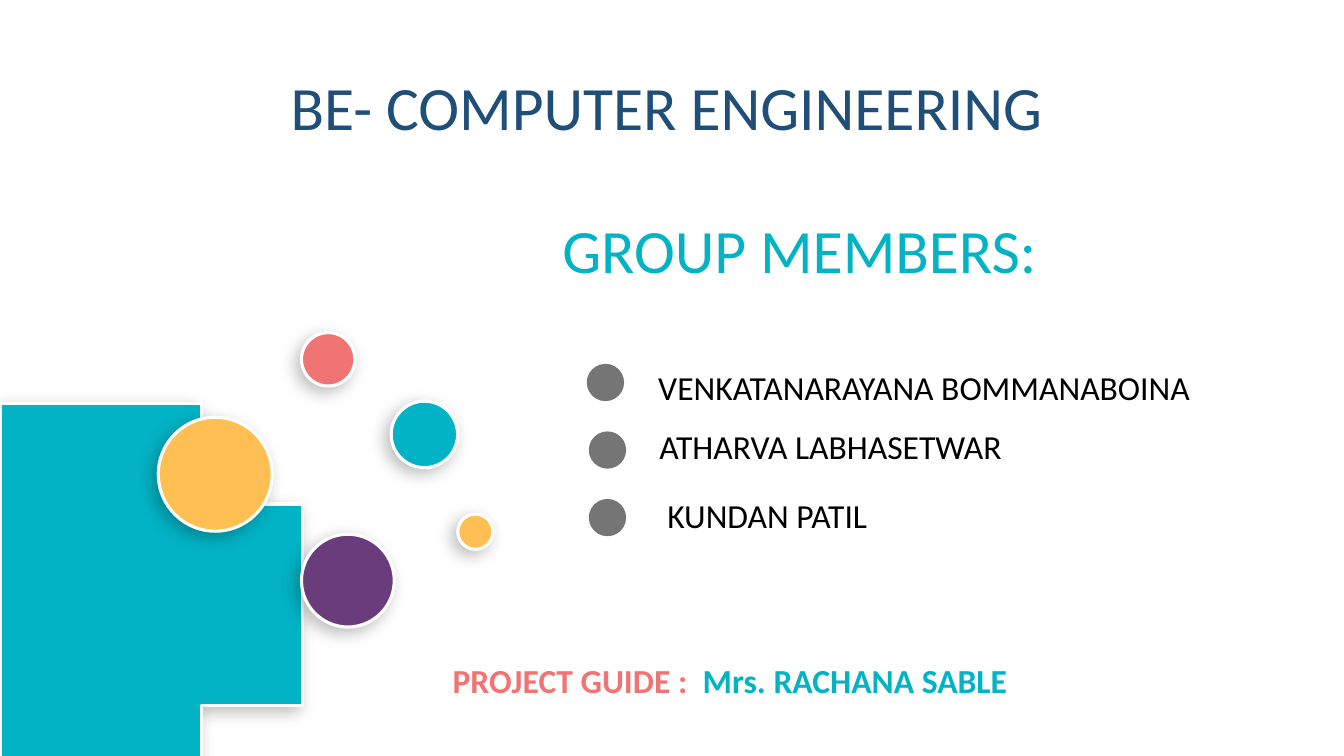
import math
from lxml import etree
from pptx import Presentation
from pptx import util as u
from pptx.dml.color import RGBColor
from pptx.enum import shapes, text
from pptx.oxml import ns

TEAL = RGBColor(0x02, 0xB3, 0xC5)
PURPLE = RGBColor(0x6A, 0x3C, 0x7C)
AMBER = RGBColor(0xFF, 0xBF, 0x53)
CORAL = RGBColor(0xF0, 0x74, 0x74)
NAVY = RGBColor(0x1F, 0x4E, 0x79)
GRAY = RGBColor(0x40, 0x40, 0x40)
BLACK = RGBColor(0, 0, 0)
WHITE = RGBColor(0xFF, 0xFF, 0xFF)
FONT = "Calibri"
SLIDE_WIDTH, SLIDE_HEIGHT = 13.33, 7.5


def add_child(parent, tag, **attributes):
    child = etree.SubElement(parent, ns.qn(tag))
    for name, value in attributes.items():
        child.set(name, str(value))
    return child


def style_bubble(shape, color):
    shape.fill.solid()
    shape.fill.fore_color.rgb = color
    shape.line.color.rgb = WHITE
    shape.line.width = u.Pt(2.25)
    shape.shadow.inherit = False
    effects = shape._element.spPr.find(ns.qn("a:effectLst"))
    shadow = add_child(effects, "a:outerShdw", blurRad=u.Pt(12), dist=u.Pt(5),
                       dir=135 * 60000, algn="tr", rotWithShape=0)
    shadow_color = add_child(shadow, "a:srgbClr", val="000000")
    add_child(shadow_color, "a:alpha", val=26000)


def add_circle(slide, left, top, size):
    return slide.shapes.add_shape(
        shapes.MSO_SHAPE.OVAL, u.Inches(left), u.Inches(top),
        u.Inches(size), u.Inches(size))


def fill_text(shape, runs, size, bold=False, align=text.PP_ALIGN.LEFT):
    frame = shape.text_frame
    frame.word_wrap = True
    frame.auto_size = text.MSO_AUTO_SIZE.NONE
    frame.vertical_anchor = text.MSO_ANCHOR.TOP
    paragraph = frame.paragraphs[0]
    paragraph.alignment = align
    for words, color in runs:
        run = paragraph.add_run()
        run.text = words
        run.font.name = FONT
        run.font.size = u.Pt(size)
        run.font.bold = bold
        run.font.color.rgb = color


def add_text(slide, box, runs, size, bold=False):
    shape = slide.shapes.add_textbox(*map(u.Inches, box))
    fill_text(shape, runs, size, bold)


def add_title(slide, box):
    title = slide.shapes.title
    title.left, title.top, title.width, title.height = map(u.Inches, box)
    fill_text(title, [("BE- COMPUTER ENGINEERING", NAVY)], 44,
              align=text.PP_ALIGN.CENTER)


def add_corner_disc(slide, center_x, center_y, radius):
    start = math.atan2(-math.sqrt(radius ** 2 - center_x ** 2), -center_x)
    end = math.asin((SLIDE_HEIGHT - center_y) / radius)
    steps = 120
    angles = [start + (end - start) * step / steps for step in range(steps + 1)]
    arc = [(center_x + radius * math.cos(angle), center_y + radius * math.sin(angle))
           for angle in angles]
    builder = slide.shapes.build_freeform(0, SLIDE_HEIGHT, scale=u.Inches(1))
    builder.add_line_segments(arc, close=True)
    style_bubble(builder.convert_to_shape(), TEAL)


def add_bubbles(slide, left, top):
    add_corner_disc(slide, 0.92, 6.21, 1.9)
    bubbles = [
        (1.42, 2.0, 0.92, PURPLE),
        (2.31, 0.68, 0.66, TEAL),
        (0, 0.84, 1.13, AMBER),
        (1.42, 0, 0.53, CORAL),
        (2.97, 1.8, 0.35, AMBER),
    ]
    for x, y, size, color in bubbles:
        style_bubble(add_circle(slide, left + x, top + y, size), color)


def add_members(slide, left, top):
    add_text(slide, (left, top, 5, 0.84), [("GROUP MEMBERS:", TEAL)], 44)
    members = [
        ("VENKATANARAYANA BOMMANABOINA", 0.34, 0.95, 1.54, 6.21),
        ("ATHARVA LABHASETWAR", 0.36, 0.96, 2.13, 5.98),
        ("KUNDAN PATIL", 0.36, 1.04, 2.81, 4.27),
    ]
    for row, (name, dot_x, name_x, name_y, width) in enumerate(members):
        dot = add_circle(slide, left + dot_x, top + 1.56 + 0.67 * row, 0.37)
        dot.shadow.inherit = False
        dot.line.fill.background()
        dot.fill.solid()
        dot.fill.fore_color.rgb = GRAY
        color = dot._element.spPr.find(ns.qn("a:solidFill"))[0]
        add_child(color, "a:alpha", val=72000)
        add_text(slide, (left + name_x, top + name_y, width, 0.5), [(name, BLACK)], 24)


def add_guide(slide, box):
    runs = [("PROJECT GUIDE :  ", CORAL), ("Mrs. RACHANA SABLE", TEAL)]
    add_text(slide, box, runs, 24, bold=True)


def main():
    presentation = Presentation()
    presentation.slide_width = u.Inches(SLIDE_WIDTH)
    presentation.slide_height = u.Inches(SLIDE_HEIGHT)
    slide = presentation.slides.add_slide(presentation.slide_layouts[5])
    add_title(slide, (1.64, 0.63, 9.95, 0.84))
    add_bubbles(slide, 1.57, 3.3)
    add_members(slide, 5.48, 2.05)
    add_guide(slide, (4.39, 6.5, 6.88, 0.5))
    presentation.save("out.pptx")


if __name__ == "__main__":
    main()
